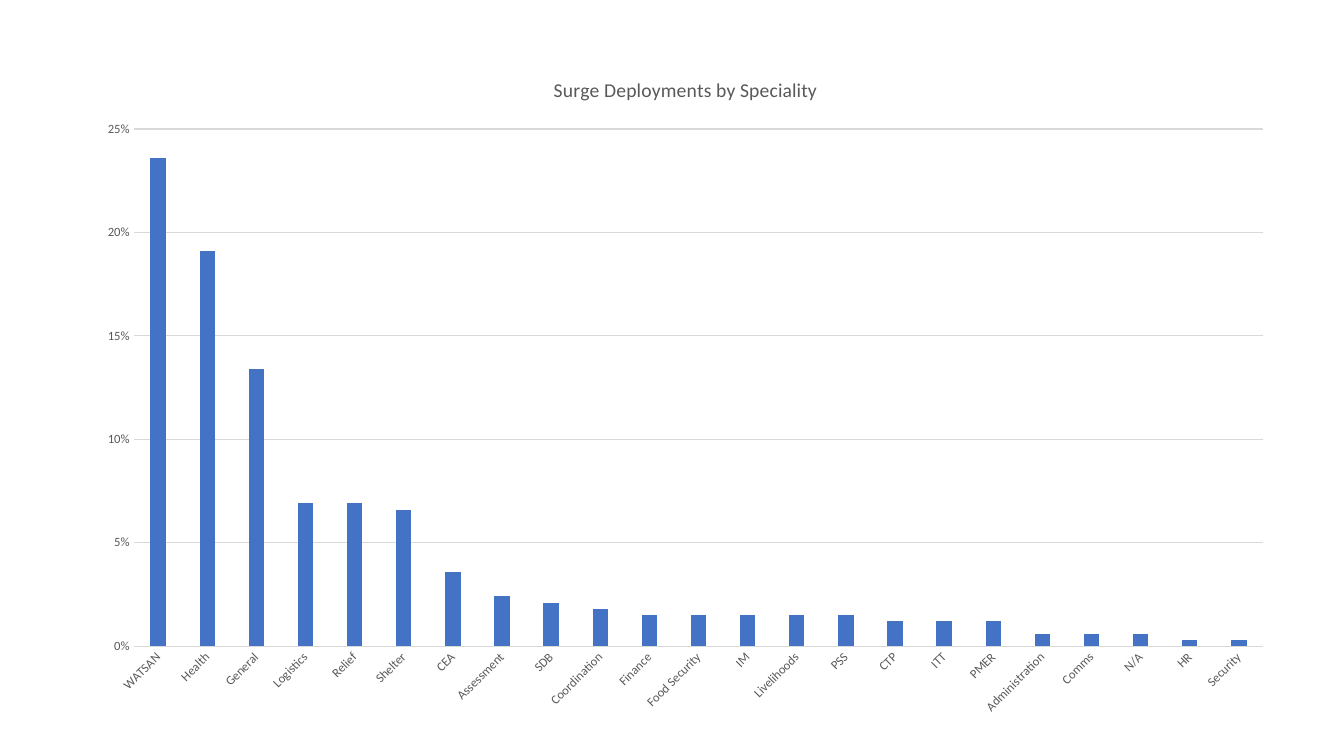
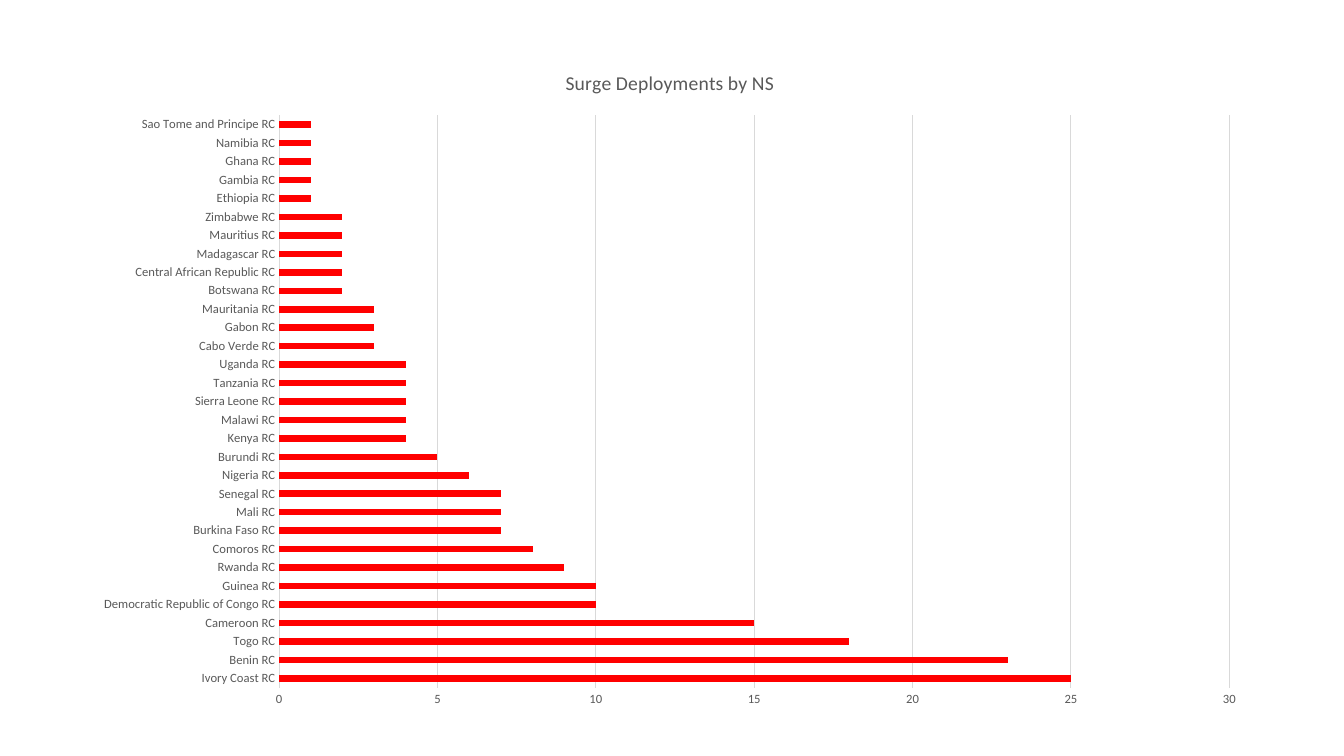
from dataclasses import dataclass
from typing import Optional

from pptx import Presentation
from pptx.chart.data import CategoryChartData
from pptx.dml.color import RGBColor
from pptx.enum.chart import XL_CHART_TYPE as ChartType, XL_TICK_MARK as TickMark
from pptx.util import Inches, Pt

COLORS = {
    "text": "595959",
    "rule": "D9D9D9",
    "speciality": "4472C4",
    "society": "FF0000",
}
FONT = "Calibri"
BLANK_LAYOUT = 6


@dataclass(frozen=True)
class Area:
    left: float
    top: float
    width: float
    height: float


@dataclass(frozen=True)
class BarChart:
    title: str
    kind: ChartType
    area: Area
    color: str
    gap: int
    overlap: int
    maximum: float
    unit: float
    number_format: str
    values: dict[str, float]
    label_angle: Optional[int] = None


SPECIALITIES = {
    "WATSAN": 0.236, "Health": 0.191, "General": 0.134, "Logistics": 0.069,
    "Relief": 0.069, "Shelter": 0.066, "CEA": 0.036, "Assessment": 0.024,
    "SDB": 0.021, "Coordination": 0.018, "Finance": 0.015,
    "Food Security": 0.015, "IM": 0.015, "Livelihoods": 0.015, "PSS": 0.015,
    "CTP": 0.012, "ITT": 0.012, "PMER": 0.012, "Administration": 0.006,
    "Comms": 0.006, "N/A": 0.006, "HR": 0.003, "Security": 0.003,
}

COUNTRIES = {
    "Ivory Coast": 25, "Benin": 23, "Togo": 18, "Cameroon": 15,
    "Democratic Republic of Congo": 10, "Guinea": 10, "Rwanda": 9,
    "Comoros": 8, "Burkina Faso": 7, "Mali": 7, "Senegal": 7, "Nigeria": 6,
    "Burundi": 5, "Kenya": 4, "Malawi": 4, "Sierra Leone": 4, "Tanzania": 4,
    "Uganda": 4, "Cabo Verde": 3, "Gabon": 3, "Mauritania": 3, "Botswana": 2,
    "Central African Republic": 2, "Madagascar": 2, "Mauritius": 2,
    "Zimbabwe": 2, "Ethiopia": 1, "Gambia": 1, "Ghana": 1, "Namibia": 1,
    "Sao Tome and Principe": 1,
}

CHARTS = [
    BarChart(
        title="Surge Deployments by Speciality",
        kind=ChartType.COLUMN_CLUSTERED,
        area=Area(6.23, 7.07, 89.57, 89.2),
        color="speciality",
        gap=219,
        overlap=-27,
        maximum=0.25,
        unit=0.05,
        number_format="0%",
        values=SPECIALITIES,
        label_angle=-45,
    ),
    BarChart(
        title="Surge Deployments by NS",
        kind=ChartType.BAR_CLUSTERED,
        area=Area(6, 6.27, 87.7, 88.93),
        color="society",
        gap=182,
        overlap=0,
        maximum=30,
        unit=5,
        number_format="General",
        values={f"{country} RC": count for country, count in COUNTRIES.items()},
    ),
]


def rgb(name: str) -> RGBColor:
    return RGBColor.from_string(COLORS[name])


def style_font(font, size: float, color: str = "text") -> None:
    font.name = FONT
    font.size = Pt(size)
    font.bold = False
    font.color.rgb = rgb(color)


def write_text(frame, text: str, *, size: float, color: str = "text") -> None:
    span = frame.paragraphs[0].add_run()
    span.text = text
    style_font(span.font, size, color)


def style_rule(line) -> None:
    line.color.rgb = rgb("rule")
    line.width = Pt(0.75)


def style_axes(chart, design: BarChart) -> None:
    categories, values = chart.category_axis, chart.value_axis
    for axis in (categories, values):
        axis.major_tick_mark = axis.minor_tick_mark = TickMark.NONE
        style_font(axis.tick_labels.font, 9)
    categories.has_major_gridlines = False
    style_rule(categories.format.line)
    if design.label_angle is not None:
        body = categories.tick_labels.font._element.getparent().getparent().getparent().bodyPr
        body.set("rot", str(design.label_angle * 60000))
        body.set("vert", "horz")
    values.has_major_gridlines = True
    style_rule(values.major_gridlines.format.line)
    values.format.line.fill.background()
    values.minimum_scale = 0
    values.maximum_scale = design.maximum
    values.major_unit = design.unit
    values.tick_labels.number_format = design.number_format
    values.tick_labels.number_format_is_linked = False


def add_bar_chart(deck, design: BarChart) -> None:
    page = deck.slides.add_slide(deck.slide_layouts[BLANK_LAYOUT])
    data = CategoryChartData(number_format=design.number_format)
    data.categories = list(design.values)
    data.add_series("Series 1", list(design.values.values()))
    area = design.area
    chart = page.shapes.add_chart(
        design.kind,
        int(deck.slide_width * area.left / 100),
        int(deck.slide_height * area.top / 100),
        int(deck.slide_width * area.width / 100),
        int(deck.slide_height * area.height / 100),
        data,
    ).chart
    chart.font.name = FONT
    chart.font.size = Pt(10)
    chart.has_legend = False
    chart.has_title = True
    write_text(chart.chart_title.text_frame, design.title, size=14)
    chart.chart_title.include_in_layout = False
    plot = chart.plots[0]
    plot.gap_width = design.gap
    plot.overlap = design.overlap
    plot.vary_by_categories = False
    fill = plot.series[0].format.fill
    fill.solid()
    fill.fore_color.rgb = rgb(design.color)
    style_axes(chart, design)


def main() -> None:
    deck = Presentation()
    deck.slide_width = Inches(13.33)
    deck.slide_height = Inches(7.5)
    for design in CHARTS:
        add_bar_chart(deck, design)
    deck.save("out.pptx")


if __name__ == "__main__":
    main()
